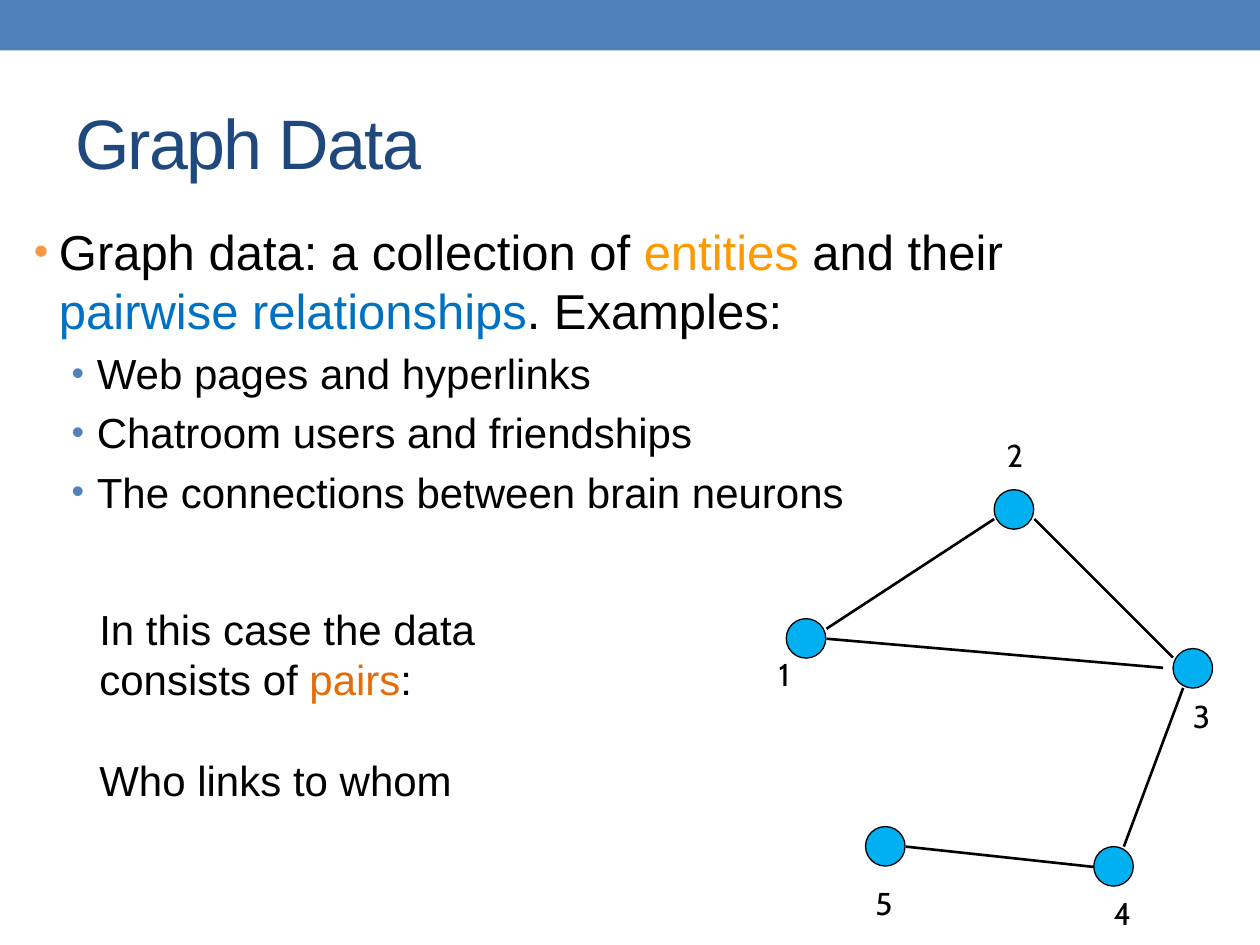
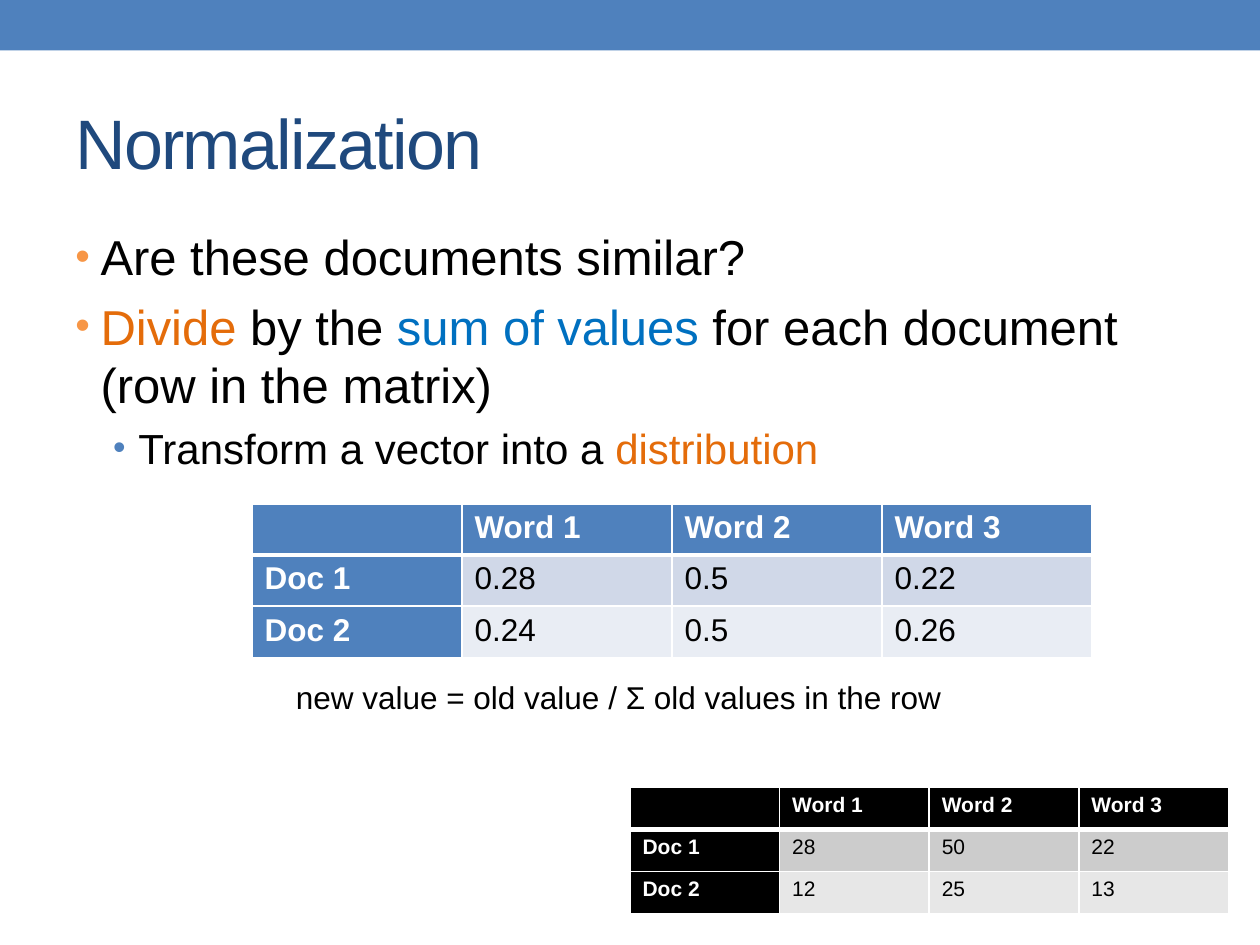
"""Build two slides: graph data and normalization."""
from lxml.etree import SubElement
from pptx import Presentation
from pptx.dml.color import RGBColor
from pptx.enum.shapes import MSO_CONNECTOR as CONN, MSO_SHAPE as SHAPE
from pptx.enum.text import MSO_ANCHOR as ANCHOR
from pptx.oxml.ns import qn
from pptx.util import Pt

BLUE = RGBColor(0x4F, 0x81, 0xBD)
NAVY = RGBColor(0x1F, 0x49, 0x7D)
SKY = RGBColor(0x00, 0xB0, 0xF0)
LINK_BLUE = RGBColor(0x00, 0x70, 0xC0)
AMBER = RGBColor(0xFF, 0x99, 0x00)
ORANGE = RGBColor(0xE4, 0x6C, 0x0A)
BULLET_ORANGE = RGBColor(0xF7, 0x96, 0x46)
BLACK = RGBColor(0, 0, 0)
WHITE = RGBColor(0xFF, 0xFF, 0xFF)
BLUE_BANDS = RGBColor(0xD0, 0xD8, 0xE8), RGBColor(0xE9, 0xED, 0xF4)
GRAY_BANDS = RGBColor(0xCC, 0xCC, 0xCC), RGBColor(0xE7, 0xE7, 0xE7)
FONT, LABEL_FONT = "Arial", "Cabin"
BULLETS = [(28, 14.4, 6, BULLET_ORANGE), (24, 36, 5, BLUE)]


def add_text(s, box, paras, size, font=FONT, wrap=True, gap=0):
    """Add a text box whose paragraphs are lists of (text, colour) runs."""
    tf = s.shapes.add_textbox(*map(Pt, box)).text_frame
    tf.word_wrap = wrap
    for i, runs in enumerate(paras):
        p = tf.paragraphs[0] if i == 0 else tf.add_paragraph()
        if i and gap:
            p.space_before = Pt(gap)
        for text, color in runs:
            r = p.add_run()
            r.text = text
            r.font.name, r.font.size = font, Pt(size)
            r.font.color.rgb = color
    return tf


def add_bullets(s, box, items):
    """Add a bulleted text box from (level, runs) items."""
    tf = add_text(s, box, [runs for _, runs in items], 28)
    for i, (p, (level, _)) in enumerate(zip(tf.paragraphs, items)):
        size, left, before, color = BULLETS[level]
        p.level = level
        pPr = p._p.get_or_add_pPr()
        pPr.set("marL", str(Pt(left)))
        pPr.set("indent", str(-Pt(14.4)))
        SubElement(SubElement(pPr, qn("a:buClr")), qn("a:srgbClr")).set("val", str(color))
        SubElement(pPr, qn("a:buSzPct")).set("val", "85000")
        SubElement(pPr, qn("a:buFont")).set("typeface", FONT)
        SubElement(pPr, qn("a:buChar")).set("char", "•")
        if i:
            p.space_before = Pt(before)
        for r in p.runs:
            r.font.size = Pt(size)


prs = Presentation()
prs.slide_width, prs.slide_height = Pt(720), Pt(540)

slides = []
for title in ("Graph Data", "Normalization"):
    s = prs.slides.add_slide(prs.slide_layouts[6])
    band = s.shapes.add_shape(SHAPE.RECTANGLE, 0, 0, Pt(720), Pt(28.8))
    band.shadow.inherit = False
    band.fill.solid()
    band.fill.fore_color.rgb = BLUE
    band.line.fill.background()
    tf = add_text(s, (36, 42, 648, 78), [[(title, NAVY)]], 40)
    tf.vertical_anchor = ANCHOR.MIDDLE
    tf.paragraphs[0].runs[0].font._element.set("spc", "-100")
    slides.append(s)
graph_slide, norm_slide = slides

add_bullets(graph_slide, (12.24, 123, 648, 186), [
    (0, [("Graph data: a collection of ", BLACK), ("entities ", AMBER),
         ("and their ", BLACK), ("pairwise relationships", LINK_BLUE),
         (". Examples:", BLACK)]),
    (1, [("Web pages and hyperlinks", BLACK)]),
    (1, [("Chatroom users and friendships", BLACK)]),
    (1, [("The connections between brain neurons", BLACK)]),
])
add_text(graph_slide, (49.7, 341.3, 300, 124), [
    [("In this case the data consists of ", BLACK), ("pairs", ORANGE), (":", BLACK)],
    [("Who links to whom", BLACK)],
], 24, gap=28.8)

nodes = [
    ("1", (449.3, 353.5), (437.8, 370.8)),
    ("2", (568.1, 279.8), (568.1, 245.5)),
    ("3", (670.3, 370.6), (674.6, 394.6)),
    ("4", (625, 483.8), (629.3, 507.6)),
    ("5", (494.6, 472.3), (493.2, 501.8)),
]
for label, node_at, label_at in nodes:
    node = graph_slide.shapes.add_shape(SHAPE.OVAL, *map(Pt, (*node_at, 22.6, 22.6)))
    node.shadow.inherit = False
    node.fill.solid()
    node.fill.fore_color.rgb = SKY
    node.line.color.rgb = BLACK
    node.line.width = Pt(0.75)
    add_text(graph_slide, (*label_at, 24.5, 28.8), [[(label, BLACK)]], 18, LABEL_FONT, wrap=False)

edges = [
    (472.3, 359.3, 568.1, 296.6),
    (591.1, 296.6, 670.3, 375.8),
    (472.3, 365, 664.6, 381.6),
    (642.2, 483.8, 676.1, 393.1),
    (517.7, 483.8, 625, 495.4),
]
for ends in edges:
    edge = graph_slide.shapes.add_connector(CONN.STRAIGHT, *map(Pt, ends))
    edge.line.color.rgb = BLACK
    edge.line.width = Pt(1.5)
    SubElement(edge._element.spPr, qn("a:effectLst"))

add_bullets(norm_slide, (36, 126, 648, 384), [
    (0, [("Are these documents similar?", BLACK)]),
    (0, [("Divide", ORANGE), (" by the ", BLACK), ("sum of values ", LINK_BLUE),
         ("for each document (row in the matrix)", BLACK)]),
    (1, [("Transform a vector into a ", BLACK), ("distribution", ORANGE)]),
])

HEADER = ("", "Word 1", "Word 2", "Word 3")
tables = [
    ((144, 288, 480, 87.6), 18, BLUE, BLUE_BANDS,
     [("Doc 1", "0.28", "0.5", "0.22"), ("Doc 2", "0.24", "0.5", "0.26")]),
    ((360, 450, 342, 72), 12, BLACK, GRAY_BANDS,
     [("Doc 1", "28", "50", "22"), ("Doc 2", "12", "25", "13")]),
]
for box, size, head_color, bands, body in tables:
    rows = [HEADER, *body]
    table = norm_slide.shapes.add_table(len(rows), len(HEADER), *map(Pt, box)).table
    table.first_col = True
    for i, row in enumerate(rows):
        for j, text in enumerate(row):
            cell = table.cell(i, j)
            is_head = i == 0 or j == 0
            tcPr = cell._tc.get_or_add_tcPr()
            for side in "LRTB":
                thick = (i, side) in ((0, "B"), (1, "T"))
                ln = SubElement(tcPr, qn(f"a:ln{side}"), w=str(Pt(3 if thick else 1)))
                fill = SubElement(ln, qn("a:solidFill"))
                SubElement(fill, qn("a:srgbClr")).set("val", str(WHITE))
            cell.fill.solid()
            cell.fill.fore_color.rgb = head_color if is_head else bands[i - 1]
            p = cell.text_frame.paragraphs[0]
            p.text = text
            p._p.get_or_add_endParaRPr().set("sz", str(size * 100))
            for r in p.runs:
                r.font.name, r.font.size, r.font.bold = FONT, Pt(size), is_head
                r.font.color.rgb = WHITE if is_head else BLACK

add_text(norm_slide, (162, 383.8, 386.6, 28.8),
         [[("new value = old value / Σ old values in the row", BLACK)]], 18, wrap=False)

prs.save("out.pptx")
